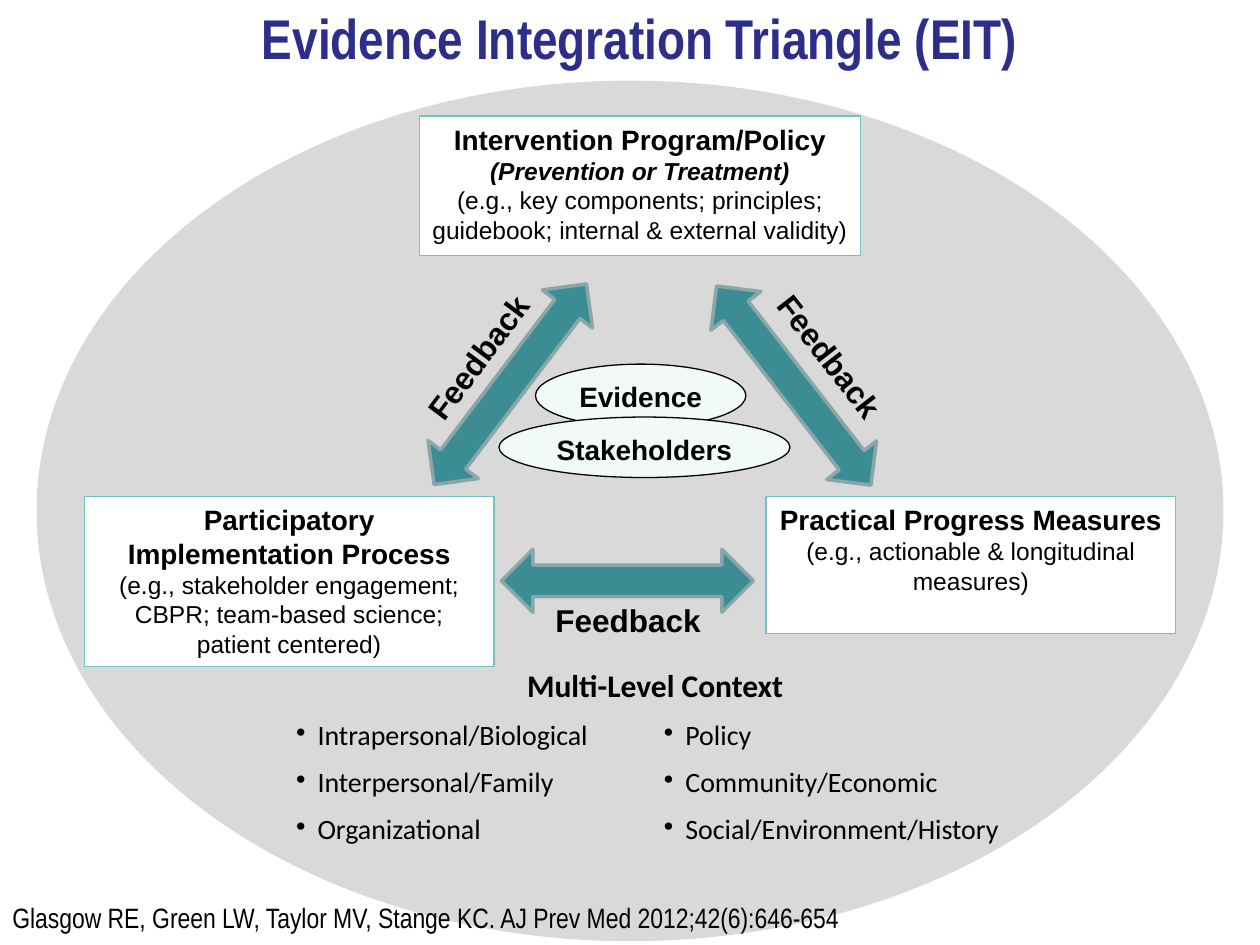
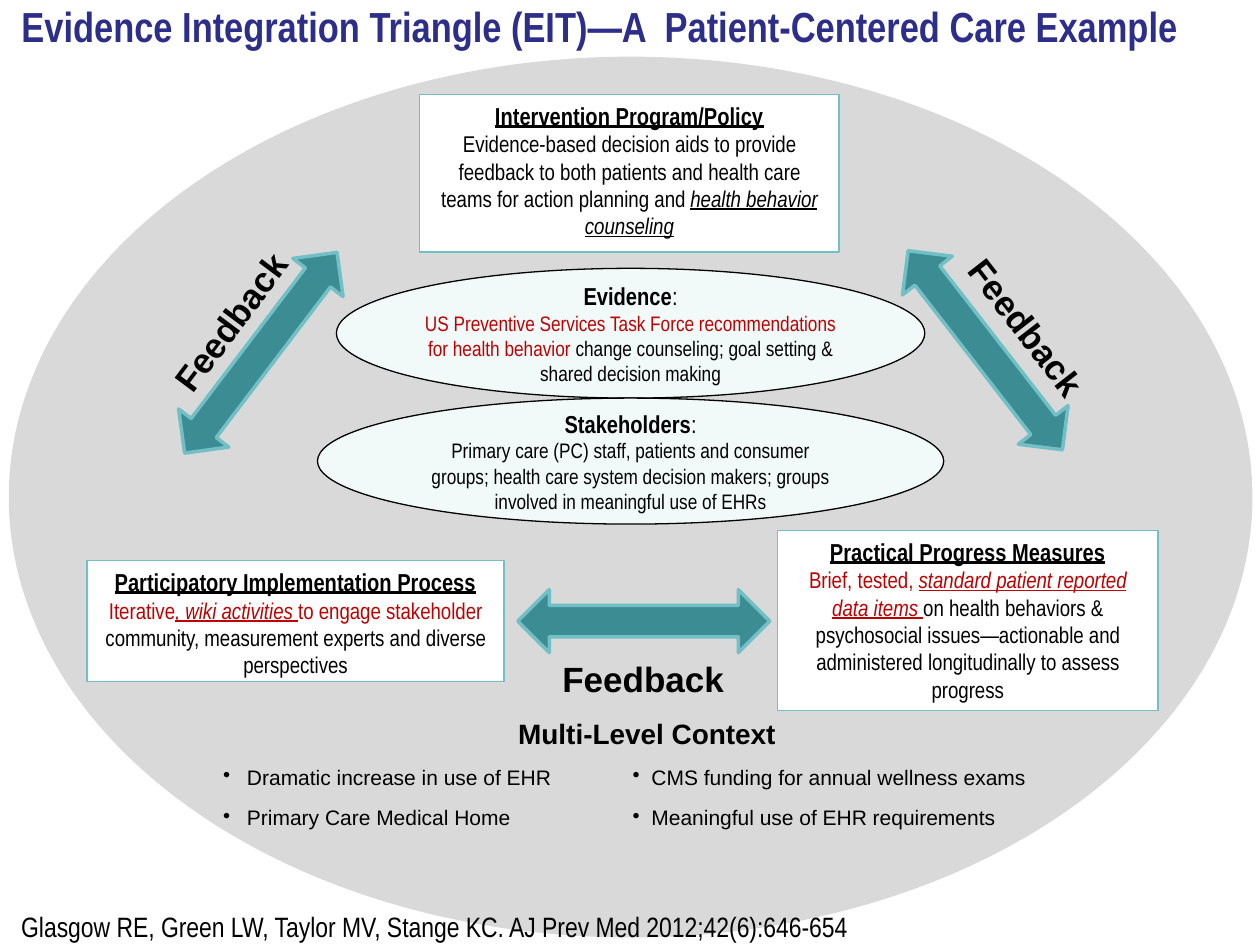
from lxml import etree
from pptx import Presentation
from pptx.dml.color import RGBColor
from pptx.enum import shapes, text
from pptx.oxml import ns
from pptx.util import Inches, Pt

COLOURS = {
    "title": "2D2D8A",
    "ink": "000000",
    "accent": "C00000",
    "context": "D9D9D9",
    "box": "FFFFFF",
    "teal": "3C8C93",
    "teal_edge": "72BFC5",
    "grey_edge": "8AA6A8",
    "core": "F1F9F9",
}
COLUMNS, ROWS = 100, 75
TITLE_ONLY = 5
PLAIN_TABLE = "{2D5ABB26-0587-4C30-8999-92F81FD0307C}"
SOURCE = "Glasgow RE, Green LW, Taylor MV, Stange KC. AJ Prev Med 2012;42(6):646-654"
SANS, NARROW, HUMANIST = "Arial", "Arial Narrow", "Calibri"
CENTER, LEFT = text.PP_ALIGN.CENTER, text.PP_ALIGN.LEFT
TOP, MIDDLE = text.MSO_ANCHOR.TOP, text.MSO_ANCHOR.MIDDLE
OVAL, RECTANGLE = shapes.MSO_SHAPE.OVAL, shapes.MSO_SHAPE.RECTANGLE
ARROW = shapes.MSO_SHAPE.UP_DOWN_ARROW
RISING, FALLING, LEVEL = 37.2, 322.2, 90
UPHILL, DOWNHILL = 306.8, 52.2
EMPHASIS = {"italic": True, "underline": True}


def colour(name):
    return RGBColor.from_string(COLOURS[name])


def line(size, *runs, **style):
    return size, runs, style


class Deck:
    def __init__(self):
        self.presentation = Presentation()
        self.presentation.slide_width = Inches(10)
        self.presentation.slide_height = Inches(7.5)
        self.slide = None

    def place(self, column, row, columns, rows):
        across = self.presentation.slide_width / COLUMNS
        down = self.presentation.slide_height / ROWS
        return (round(column * across), round(row * down),
                round(columns * across), round(rows * down))

    def style(self, font, settings):
        for name, value in settings.items():
            if name == "colour":
                font.color.rgb = colour(value)
            else:
                setattr(font, name, value)

    def set_paragraph(self, paragraph, content, font, align):
        size, runs, style = content
        paragraph.alignment = align
        base = {"name": font, "size": Pt(size), "bold": False, "colour": "ink"}
        self.style(paragraph.font, base | style)
        for item in runs:
            words, changes = (item, {}) if isinstance(item, str) else item
            run = paragraph.add_run()
            run.text = words
            self.style(run.font, changes)

    def set_text(self, frame, lines, font=SANS, align=CENTER, anchor=TOP):
        frame.word_wrap = True
        frame.auto_size = text.MSO_AUTO_SIZE.NONE
        frame.vertical_anchor = anchor
        for index, content in enumerate(lines):
            paragraph = frame.add_paragraph() if index else frame.paragraphs[0]
            self.set_paragraph(paragraph, content, font, align)

    def add_slide(self, title, area, size, align):
        layout = self.presentation.slide_layouts[TITLE_ONLY]
        self.slide = self.presentation.slides.add_slide(layout)
        heading = self.slide.shapes.title
        heading.left, heading.top, heading.width, heading.height = self.place(*area)
        self.set_text(heading.text_frame, [line(size, title, bold=True, colour="title")],
                      NARROW, align, MIDDLE)

    def shape(self, kind, area, fill, edge=None, width=0.75):
        shape = self.slide.shapes.add_shape(kind, *self.place(*area))
        shape.shadow.inherit = False
        shape.fill.solid()
        shape.fill.fore_color.rgb = colour(fill)
        if edge:
            shape.line.color.rgb = colour(edge)
            shape.line.width = Pt(width)
        else:
            shape.line.fill.background()
        return shape

    def context(self, *area):
        self.shape(OVAL, area, "context")

    def arrow(self, column, row, rotation, edge):
        self.shape(ARROW, (column, row, 5, 20), "teal", edge, 2).rotation = rotation

    def box(self, area, *lines, font):
        shape = self.shape(RECTANGLE, area, "box", "teal_edge")
        self.set_text(shape.text_frame, lines, font)

    def core(self, area, *lines, font, anchor=TOP, inset=True):
        frame = self.shape(OVAL, area, "core", "ink").text_frame
        if not inset:
            frame.margin_left = frame.margin_right = 0
            frame.margin_top = frame.margin_bottom = 0
        self.set_text(frame, lines, font, anchor=anchor)

    def label(self, area, *lines, font=SANS, align=LEFT, rotation=0):
        box = self.slide.shapes.add_textbox(*self.place(*area))
        box.rotation = rotation
        self.set_text(box.text_frame, lines, font, align)

    def feedback(self, area, size, rotation=0, align=CENTER):
        self.label(area, line(size, "Feedback", bold=True), rotation=rotation, align=align)

    def bullet(self, paragraph, indent):
        properties = paragraph._p.get_or_add_pPr()
        properties.set("marL", str(Inches(indent)))
        properties.set("indent", str(-Inches(indent)))
        properties.insert(0, etree.Element(ns.qn("a:buChar"), char="•"))

    def levels(self, area, widths, heights, rows, font, sizes, indents):
        frame = self.slide.shapes.add_table(len(rows) + 1, 2, *self.place(*area))
        table = frame.table
        table.first_row = table.horz_banding = False
        table._tbl.tblPr.find(ns.qn("a:tableStyleId")).text = PLAIN_TABLE
        for column, width in zip(table.columns, widths):
            column.width = self.place(0, 0, width, 0)[2]
        for row, height in zip(table.rows, heights):
            row.height = self.place(0, 0, 0, height)[3]
        for cell in table.iter_cells():
            cell.fill.background()
        header = table.cell(0, 0)
        header.merge(table.cell(0, 1))
        self.set_paragraph(header.text_frame.paragraphs[0],
                           line(sizes[0], "Multi-Level Context", bold=True), font, CENTER)
        for row, entries in enumerate(rows, 1):
            for column, entry in enumerate(entries):
                paragraph = table.cell(row, column).text_frame.paragraphs[0]
                self.set_paragraph(paragraph, line(sizes[1], entry), font, LEFT)
                self.bullet(paragraph, indents[column])

    def source(self, *area):
        self.label(area, line(16, SOURCE), font=NARROW)


def build_triangle(deck):
    deck.add_slide("Evidence Integration Triangle (EIT)", (10.8, -3.3, 80, 12.5), 32, CENTER)
    deck.context(2.9, 6.4, 94.2, 68.3)
    for column, row, rotation in ((38, 20.5, RISING), (47.3, 36.1, LEVEL), (60.5, 20.6, FALLING)):
        deck.arrow(column, row, rotation, "grey_edge")
    deck.box((6.7, 39.4, 32.5, 13.5),
             line(16, "Participatory Implementation Process", bold=True),
             line(14, "(e.g., stakeholder engagement; CBPR; team-based science; patient centered)"),
             font=SANS)
    deck.box((60.8, 39.4, 32.5, 10.9),
             line(16, "Practical Progress Measures", bold=True),
             line(14, "(e.g., actionable & longitudinal measures)"), font=SANS)
    deck.box((33.3, 9.2, 35, 11.1),
             line(16, "Intervention Program/Policy", bold=True),
             line(14, "(Prevention or Treatment)", bold=True, italic=True),
             line(14, "(e.g., key components; principles; guidebook; internal & external validity)"),
             font=SANS)
    deck.levels((22.5, 52.5, 59, 15), (29.2, 29.8), (4, 3.7, 3.7, 3.7),
                (("Intrapersonal/Biological", "Policy"),
                 ("Interpersonal/Family", "Community/Economic"),
                 ("Organizational", "Social/Environment/History")),
                HUMANIST, (18, 16), (0.17, 0.17))
    deck.feedback((30.8, 25.6, 15.3, 4), 18, UPHILL, LEFT)
    deck.feedback((58.6, 27.3, 16.1, 4), 18, DOWNHILL, LEFT)
    deck.feedback((42.2, 47.2, 15.3, 4), 18)
    deck.core((42.5, 28.9, 16.7, 5), line(16, "Evidence", bold=True), font=SANS)
    deck.core((39.6, 33.1, 23.1, 4.8), line(16, "Stakeholders", bold=True), font=SANS)
    deck.source(0, 71, 80, 4.1)


def build_example(deck):
    deck.add_slide("Evidence Integration Triangle (EIT)—A  Patient-Centered Care Example",
                   (0.7, -4.2, 99.3, 12.5), 24, LEFT)
    deck.context(0.7, 4.5, 98.7, 69.9)
    for column, row, rotation in ((48.6, 39.3, LEVEL), (18.2, 18, RISING), (75.7, 17.8, FALLING)):
        deck.arrow(column, row, rotation, "teal_edge")
    heading = {"bold": True, "underline": True}
    accent = {"colour": "accent"}
    deck.box((6.9, 44.5, 33.1, 9.6),
             line(14, "Participatory Implementation Process", **heading),
             line(13, ("Iterative", accent), (", wiki activities ", accent | EMPHASIS),
                  ("to engage stakeholder ", accent),
                  "community, measurement experts and diverse perspectives"), font=NARROW)
    deck.box((61.7, 42.1, 30.2, 14.3),
             line(14, "Practical Progress Measures", **heading),
             line(13, ("Brief, tested, ", accent),
                  ("standard patient reported data items ", accent | EMPHASIS),
                  "on health behaviors & psychosocial issues—actionable and "
                  "administered longitudinally to assess progress"), font=NARROW)
    deck.box((33.3, 7.5, 33.3, 12.5),
             line(14, "Intervention Program/Policy", **heading),
             line(13, "Evidence-based decision aids to provide feedback to both patients "
                  "and health care teams for action planning and ",
                  ("health behavior counseling", EMPHASIS)), font=NARROW)
    deck.levels((16.7, 56.6, 69.3, 10), (32.5, 36.8), (3.7, 3.2, 3.2),
                (("Dramatic increase in use of EHR", "CMS funding for annual wellness exams"),
                 ("Primary Care Medical Home", "Meaningful use of EHR requirements")),
                SANS, (16, 12), (0.19, 0.15))
    deck.feedback((10.8, 23.2, 15.2, 4.4), 20, UPHILL, LEFT)
    deck.feedback((73.8, 23.8, 15.3, 4.4), 20, DOWNHILL)
    deck.feedback((43.4, 51.7, 15.3, 4.4), 20)
    strong = {"bold": True}
    deck.core((26.7, 21.3, 46.7, 10.3),
              line(14, ("Evidence", strong), ":"),
              line(12, ("US Preventive Services Task Force recommendations for health behavior ",
                        accent),
                   "change counseling; goal setting & shared decision making"),
              font=NARROW, anchor=MIDDLE, inset=False)
    deck.core((25.2, 31.6, 49.7, 10),
              line(14, ("Stakeholders", strong), ":"),
              line(12, "Primary care (PC) staff, patients and consumer"),
              line(12, "groups; health care system decision makers; "
                   "groups involved in meaningful use of EHRs"),
              font=NARROW, anchor=MIDDLE, inset=False)
    deck.source(0.7, 71.7, 80, 3.3)


def main():
    deck = Deck()
    build_triangle(deck)
    build_example(deck)
    deck.presentation.save("out.pptx")


if __name__ == "__main__":
    main()
